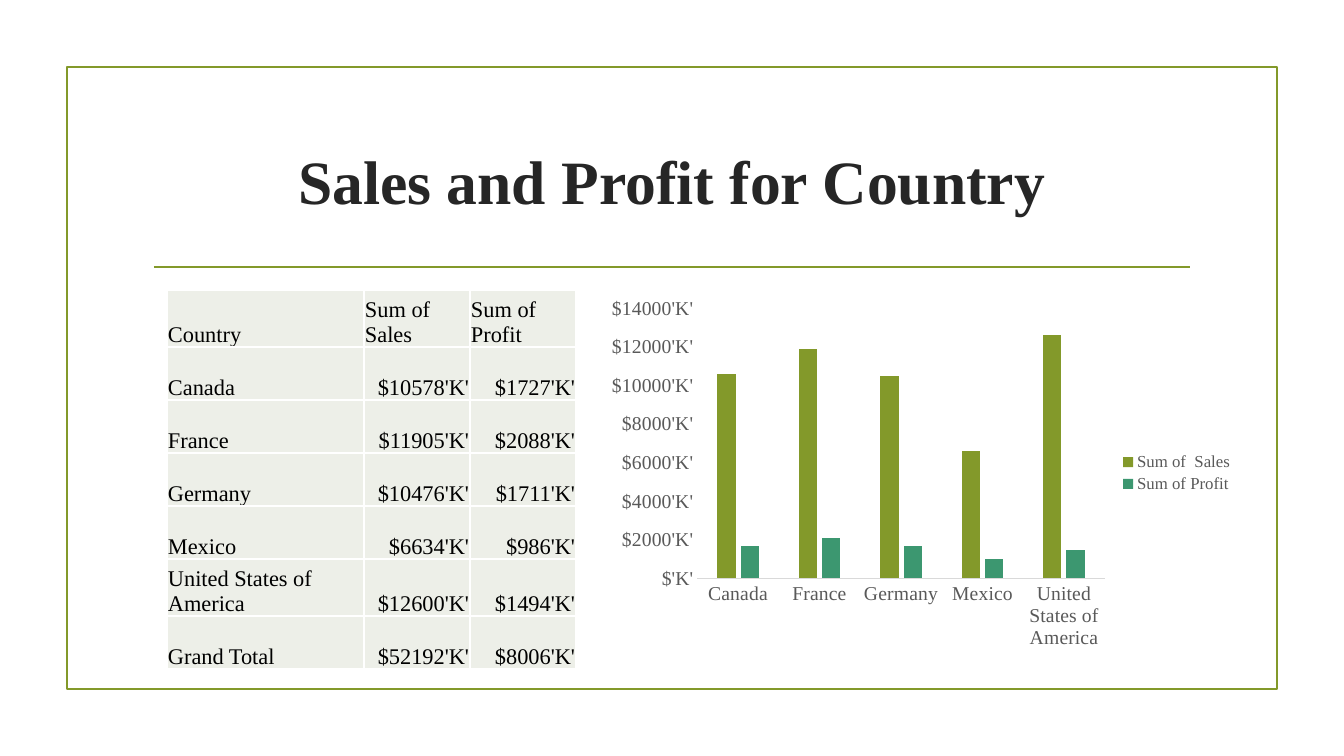
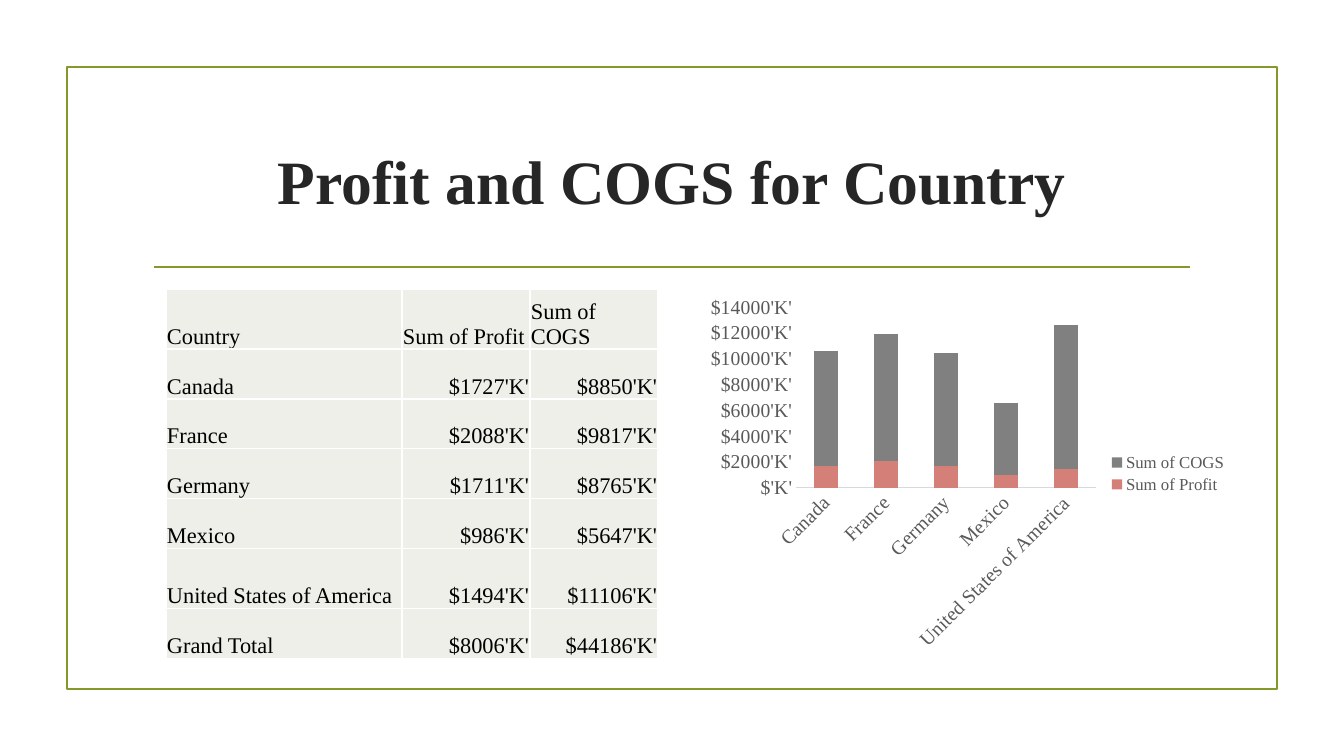
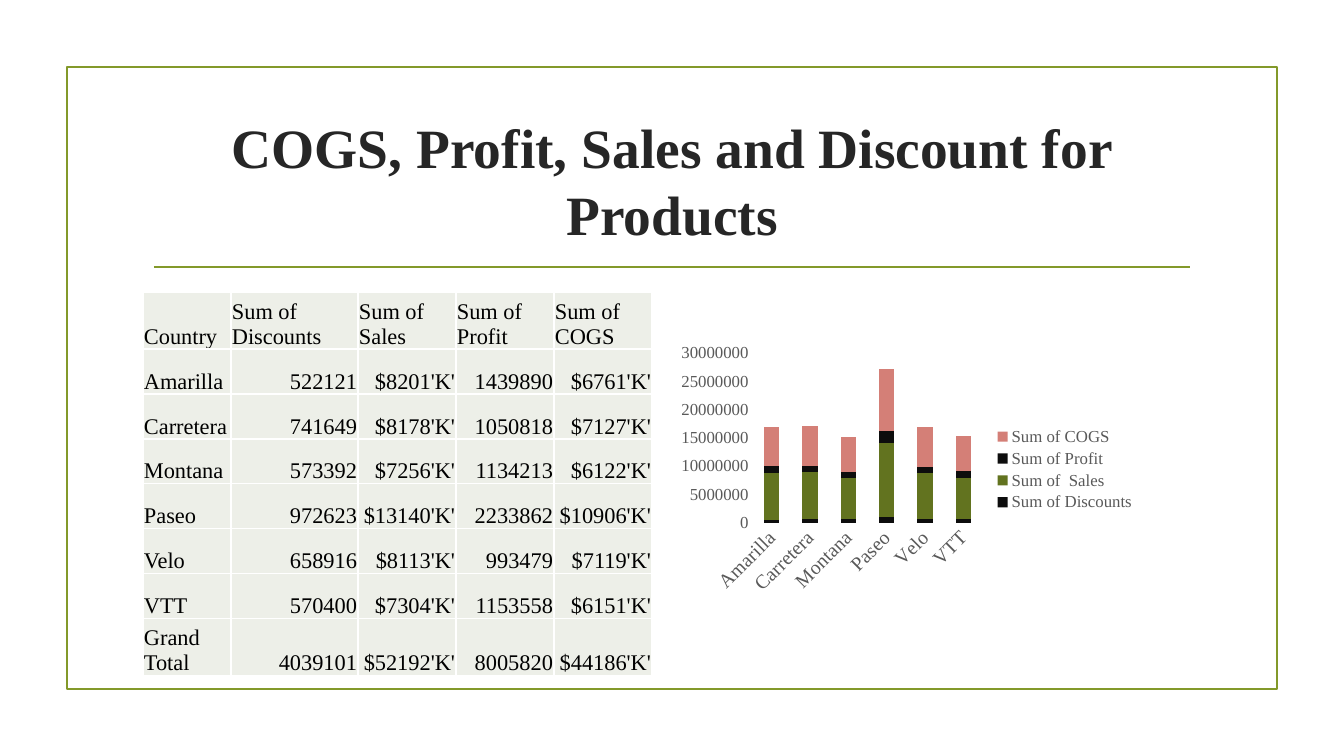
import pptx
import pptx.chart.data
import pptx.dml.color
import pptx.enum.chart
import pptx.enum.shapes
import pptx.enum.text
import pptx.oxml.ns
import pptx.util
from lxml import etree

EMU_PER_PX = 914400 / 100.8
FONT = "Times New Roman"
COLORS = {
    "paper": "FFFFFF",
    "olive": "83992A",
    "moss": "62731F",
    "green": "3C9770",
    "rose": "D47F77",
    "gray": "808080",
    "black": "0D0D0D",
    "title": "262626",
    "text": "000000",
    "label": "595959",
    "axis": "D9D9D9",
    "cell": "EDEFE8",
}
THOUSANDS = r""""$"#,\'\K\'"""
COUNTRIES = ["Canada", "France", "Germany", "Mexico", "United States of America"]
PRODUCTS = ["Amarilla", "Carretera", "Montana", "Paseo", "Velo", "VTT"]
COUNTRY_PROFITS = [1700000, 2100000, 1700000, 1000000, 1500000]
CLUSTERED = pptx.enum.chart.XL_CHART_TYPE.COLUMN_CLUSTERED
STACKED = pptx.enum.chart.XL_CHART_TYPE.COLUMN_STACKED


def px(length):
    return pptx.util.Emu(round(length * EMU_PER_PX))


def color(name):
    return pptx.dml.color.RGBColor.from_string(COLORS[name])


class Report:
    def __init__(self):
        self.deck = pptx.Presentation()
        self.deck.slide_width = px(1344)
        self.deck.slide_height = px(756)
        self.page = None

    def style(self, font, size, name, bold=False):
        font.name = FONT
        font.size = pptx.util.Pt(size)
        font.bold = bold
        font.color.rgb = color(name)

    def outline(self, line, name, width):
        line.color.rgb = color(name)
        line.width = pptx.util.Pt(width)

    def add_page(self, title, size=44):
        self.page = self.deck.slides.add_slide(self.deck.slide_layouts[5])
        self.page.background.fill.solid()
        self.page.background.fill.fore_color.rgb = color("paper")
        self.add_frame()
        self.add_rule()
        self.add_title(title, size)

    def add_frame(self):
        frame = self.page.shapes.add_shape(
            pptx.enum.shapes.MSO_SHAPE.RECTANGLE, px(67), px(67), px(1210), px(622))
        frame.shadow.inherit = False
        frame.fill.background()
        self.outline(frame.line, "olive", 1.25)

    def add_rule(self):
        rule = self.page.shapes.add_connector(
            pptx.enum.shapes.MSO_CONNECTOR.STRAIGHT, px(154), px(267), px(1190), px(267))
        self.outline(rule.line, "olive", 1.25)
        properties = rule._element.spPr
        etree.SubElement(properties, pptx.oxml.ns.qn("a:effectLst"))

    def add_title(self, text, size):
        box = self.page.shapes.title
        box.left, box.top, box.width, box.height = px(143), px(108), px(1058), px(144)
        frame = box.text_frame
        frame.word_wrap = True
        frame.auto_size = pptx.enum.text.MSO_AUTO_SIZE.NONE
        frame.vertical_anchor = pptx.enum.text.MSO_ANCHOR.MIDDLE
        para = frame.paragraphs[0]
        para.alignment = pptx.enum.text.PP_ALIGN.CENTER
        span = para.add_run()
        span.text = text
        self.style(span.font, size, "title", True)

    def add_table(self, left, top, widths, heights, rows):
        table = self.page.shapes.add_table(
            len(rows), len(widths), px(left), px(top),
            px(sum(widths)), px(sum(heights))).table
        table.first_row = False
        table.horz_banding = False
        for column, width in zip(table.columns, widths):
            column.width = px(width)
        for row, height in zip(table.rows, heights):
            row.height = px(height)
        for row_index, values in enumerate(rows):
            for column_index, text in enumerate(values):
                is_number = row_index > 0 and column_index > 0
                self.fill_cell(table.cell(row_index, column_index), text, is_number)

    def fill_cell(self, cell, text, is_number):
        self.add_borders(cell)
        cell.fill.solid()
        cell.fill.fore_color.rgb = color("cell")
        cell.margin_left = cell.margin_right = cell.margin_top = px(1)
        cell.margin_bottom = 0
        cell.vertical_anchor = pptx.enum.text.MSO_ANCHOR.BOTTOM
        para = cell.text_frame.paragraphs[0]
        align = pptx.enum.text.PP_ALIGN
        para.alignment = align.RIGHT if is_number else align.LEFT
        span = para.add_run()
        span.text = text
        self.style(span.font, 16, "text")

    def add_borders(self, cell):
        qn = pptx.oxml.ns.qn
        properties = cell._tc.get_or_add_tcPr()
        for side in ("a:lnL", "a:lnR", "a:lnT", "a:lnB"):
            border = etree.SubElement(properties, qn(side), w=str(pptx.util.Pt(1)))
            fill = etree.SubElement(border, qn("a:solidFill"))
            etree.SubElement(fill, qn("a:srgbClr"), val=COLORS["paper"])

    def add_chart(self, bounds, kind, categories, series, gap, overlap,
                  number_format=THOUSANDS, value_size=14, axis_line=True):
        data = pptx.chart.data.CategoryChartData()
        data.categories = categories
        for name, _, values in series:
            data.add_series(name, values)
        chart = self.page.shapes.add_chart(kind, *map(px, bounds), data).chart
        chart.has_title = False
        self.style(chart.font, 10, "text")
        plot = chart.plots[0]
        plot.vary_by_categories = False
        plot.gap_width = gap
        plot.overlap = overlap
        for bars, (_, name, _) in zip(plot.series, series):
            bars.format.fill.solid()
            bars.format.fill.fore_color.rgb = color(name)
        self.format_axis(chart.category_axis, 14)
        self.format_axis(chart.value_axis, value_size)
        if axis_line:
            self.outline(chart.category_axis.format.line, "axis", 0.75)
        labels = chart.value_axis.tick_labels
        labels.number_format = number_format
        labels.number_format_is_linked = False
        chart.has_legend = True
        chart.legend.position = pptx.enum.chart.XL_LEGEND_POSITION.RIGHT
        chart.legend.include_in_layout = False
        self.style(chart.legend.font, 12, "label")

    def format_axis(self, axis, size):
        axis.has_major_gridlines = False
        axis.major_tick_mark = pptx.enum.chart.XL_TICK_MARK.NONE
        axis.minor_tick_mark = pptx.enum.chart.XL_TICK_MARK.NONE
        axis.format.line.fill.background()
        self.style(axis.tick_labels.font, size, "label")
        body = axis._element.find(".//" + pptx.oxml.ns.qn("a:bodyPr"))
        body.set("rot", "-60000000")
        body.set("vert", "horz")


def build_sales(report):
    report.add_page("Sales and Profit for Country")
    report.add_table(167, 290, [197, 106, 106], [57] + [53] * 4 + [57, 53], [
        ["Country", "Sum of  Sales", "Sum of Profit"],
        ["Canada", "$10578'K'", "$1727'K'"],
        ["France", "$11905'K'", "$2088'K'"],
        ["Germany", "$10476'K'", "$1711'K'"],
        ["Mexico", "$6634'K'", "$986'K'"],
        ["United States of America", "$12600'K'", "$1494'K'"],
        ["Grand Total", "$52192'K'", "$8006'K'"],
    ])
    report.add_chart((599, 290, 645, 366), CLUSTERED, COUNTRIES, [
        ("Sum of  Sales", "olive", [10600000, 11900000, 10500000, 6600000, 12600000]),
        ("Sum of Profit", "green", COUNTRY_PROFITS),
    ], 219, -27)


def build_costs(report):
    report.add_page("Profit and COGS for Country")
    report.add_table(166, 289, [236, 128, 128], [60] + [50] * 4 + [60, 50], [
        ["Country", "Sum of Profit", "Sum of COGS"],
        ["Canada", "$1727'K'", "$8850'K'"],
        ["France", "$2088'K'", "$9817'K'"],
        ["Germany", "$1711'K'", "$8765'K'"],
        ["Mexico", "$986'K'", "$5647'K'"],
        ["United States of America", "$1494'K'", "$11106'K'"],
        ["Grand Total", "$8006'K'", "$44186'K'"],
    ])
    report.add_chart((700, 289, 538, 369), STACKED, COUNTRIES, [
        ("Sum of Profit", "rose", COUNTRY_PROFITS),
        ("Sum of COGS", "gray", [8900000, 9800000, 8800000, 5600000, 11100000]),
    ], 150, 100)


def build_products(report):
    report.add_page("COGS, Profit, Sales and Discount for Products", 39.6)
    report.add_table(143, 292, [88, 127, 98, 98, 98], [57] + [45] * 6 + [57], [
        ["Country", "Sum of Discounts", "Sum of  Sales", "Sum of Profit", "Sum of COGS"],
        ["Amarilla", "522121", "$8201'K'", "1439890", "$6761'K'"],
        ["Carretera", "741649", "$8178'K'", "1050818", "$7127'K'"],
        ["Montana", "573392", "$7256'K'", "1134213", "$6122'K'"],
        ["Paseo", "972623", "$13140'K'", "2233862", "$10906'K'"],
        ["Velo", "658916", "$8113'K'", "993479", "$7119'K'"],
        ["VTT", "570400", "$7304'K'", "1153558", "$6151'K'"],
        ["Grand Total", "4039101", "$52192'K'", "8005820", "$44186'K'"],
    ])
    report.add_chart((672, 339, 474, 261), STACKED, PRODUCTS, [
        ("Sum of Discounts", "black", [500000, 700000, 600000, 1000000, 700000, 600000]),
        ("Sum of  Sales", "moss", [8200000, 8200000, 7300000, 13100000, 8100000, 7300000]),
        ("Sum of Profit", "black", [1400000, 1100000, 1100000, 2200000, 1000000, 1200000]),
        ("Sum of COGS", "rose", [6800000, 7100000, 6100000, 10900000, 7100000, 6200000]),
    ], 150, 100, "0", 12, False)


def main():
    report = Report()
    for build in (build_sales, build_costs, build_products):
        build(report)
    report.deck.save("out.pptx")


if __name__ == "__main__":
    main()
